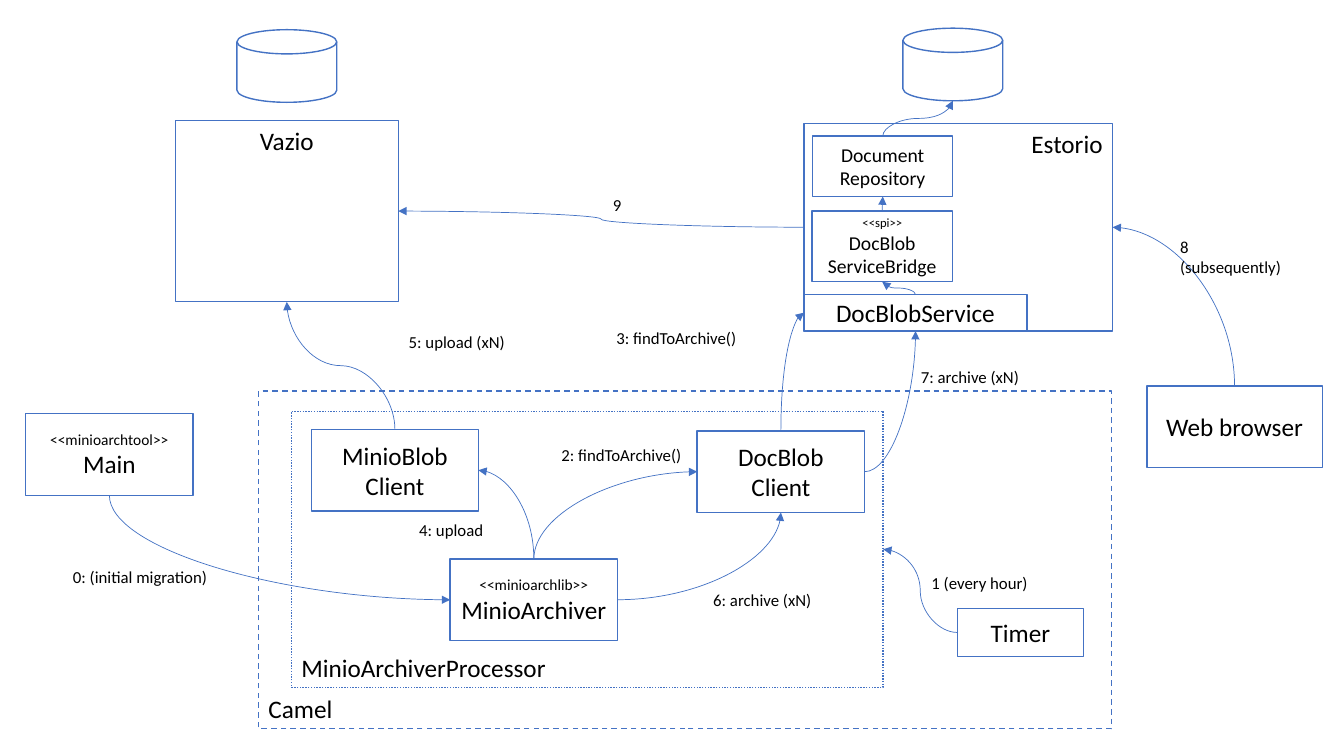
from pptx import Presentation
from pptx.dml.color import RGBColor
from pptx.enum.dml import MSO_LINE
from pptx.enum.shapes import MSO_CONNECTOR, MSO_SHAPE
from pptx.enum.text import MSO_ANCHOR, PP_ALIGN
from pptx.oxml.ns import qn
from pptx.util import Inches, Pt
from lxml.etree import SubElement

BLUE, WHITE, BLACK = "4472C4", "FFFFFF", "000000"
TOP, LEFT, BOTTOM, RIGHT = range(4)
DISK_BOTTOM = 3

presentation = Presentation()
presentation.slide_width = Inches(13.33)
presentation.slide_height = Inches(7.5)
slide = presentation.slides.add_slide(presentation.slide_layouts[6])
row = column = presentation.slide_height / 75


def color(hex_string):
    return RGBColor.from_string(hex_string)


def write(text_frame, text, size, alignment, small=None):
    for index, line in enumerate(text.split("\n")):
        paragraph = text_frame.paragraphs[0] if index == 0 else text_frame.add_paragraph()
        paragraph.text = line
        paragraph.alignment = alignment
        paragraph.font.name = "Calibri"
        paragraph.font.size = Pt(size)
        paragraph.font.color.rgb = color(BLACK)
        if line.startswith("<<"):
            paragraph.font.size = Pt(small)


middle, center = MSO_ANCHOR.MIDDLE, PP_ALIGN.CENTER
top, bottom = MSO_ANCHOR.TOP, MSO_ANCHOR.BOTTOM
rectangle, disk = MSO_SHAPE.RECTANGLE, MSO_SHAPE.FLOWCHART_MAGNETIC_DISK
large, medium = 18, 14
boxes = [
    ("camel", rectangle, 25.65, 38.8, 84.6, 33.5, "Camel", large, bottom, PP_ALIGN.LEFT),
    ("processor", rectangle, 28.9, 40.8, 58.7, 27.4, "MinioArchiverProcessor", large, bottom, PP_ALIGN.LEFT),
    ("storage", rectangle, 17.4, 11.95, 22.1, 18, "Vazio", large, top, center),
    ("estate", rectangle, 79.75, 12.25, 30.6, 20.6, "Estorio", large, top, PP_ALIGN.RIGHT),
    ("storage disk", disk, 23.5, 2.95, 9.9, 7.2, "", large, middle, center),
    ("estate disk", disk, 89.55, 2.8, 9.9, 7.2, "", large, middle, center),
    ("service", rectangle, 79.75, 29.2, 22.1, 3.65, "DocBlobService", large, middle, center),
    ("archiver", rectangle, 44.65, 55.45, 16.6, 8.1, "<<minioarchlib>>\nMinioArchiver", large, middle, center),
    ("storage client", rectangle, 30.9, 42.6, 16.55, 8.1, "MinioBlob\vClient", large, middle, center),
    ("document client", rectangle, 69.15, 42.75, 16.6, 8.1, "DocBlob\vClient", large, middle, center),
    ("timer", rectangle, 94.95, 60.35, 12.5, 4.8, "Timer", large, middle, center),
    ("browser", rectangle, 113.75, 38.3, 17.4, 8.1, "Web browser", large, middle, center),
    ("bridge", rectangle, 80.55, 20.95, 13.9, 7, "<<spi>>\nDocBlob\vServiceBridge", medium, middle, center),
    ("repository", rectangle, 80.6, 13.5, 13.9, 6, "Document\vRepository", medium, middle, center),
    ("main", rectangle, 2.55, 41.05, 16.6, 8.1, "<<minioarchtool>>\nMain", large, middle, center),
]
shapes = {}
for name, kind, left, upper, width, height, text, size, anchor, alignment in boxes:
    shape = slide.shapes.add_shape(
        kind, int(left * column), int(upper * row), int(width * column), int(height * row))
    shape.shadow.inherit = False
    shape.fill.solid()
    shape.fill.fore_color.rgb = color(WHITE)
    shape.line.color.rgb = color(BLUE)
    shape.line.width = Pt(1)
    if text:
        shape.text_frame.vertical_anchor = anchor
        write(shape.text_frame, text, size, alignment, 11 if size == large else 9)
    shapes[name] = shape
shapes["camel"].line.dash_style = MSO_LINE.DASH
shapes["processor"].line.dash_style = MSO_LINE.ROUND_DOT

arrows = [
    ("main", BOTTOM, "archiver", LEFT),
    ("timer", LEFT, "processor", RIGHT),
    ("archiver", TOP, "document client", LEFT),
    ("document client", TOP, "service", LEFT),
    ("archiver", TOP, "storage client", RIGHT),
    ("storage client", TOP, "storage", BOTTOM),
    ("archiver", RIGHT, "document client", BOTTOM),
    ("document client", RIGHT, "service", BOTTOM),
    ("browser", TOP, "estate", RIGHT),
    ("estate", LEFT, "storage", RIGHT),
    ("service", TOP, "bridge", BOTTOM),
    ("bridge", TOP, "repository", BOTTOM),
    ("repository", TOP, "estate disk", BOTTOM),
]
for source, source_side, target, target_side in arrows:
    connector = slide.shapes.add_connector(MSO_CONNECTOR.CURVE, 0, 0, 0, 0)
    connector.begin_connect(shapes[source], source_side)
    connector.end_connect(shapes[target], target_side)
    connector.line.color.rgb = color(BLUE)
    connector.line.width = Pt(0.5)
    properties = connector._element.spPr
    SubElement(properties.find(qn("a:ln")), qn("a:tailEnd"), type="triangle")
    SubElement(properties, qn("a:effectLst"))
    if source_side % 2 != target_side % 2:
        properties.find(qn("a:prstGeom")).set("prst", "curvedConnector2")
    if source_side in (TOP, BOTTOM):
        across = connector.end_x - connector.begin_x
        down = connector.end_y - connector.begin_y
        center_x = connector.begin_x + across // 2
        center_y = connector.begin_y + down // 2
        connector.begin_x, connector.end_x = center_x - down // 2, center_x + down // 2
        connector.begin_y, connector.end_y = center_y + across // 2, center_y - across // 2
        properties.find(qn("a:xfrm")).set("rot", "5400000")
    if target == "estate disk":
        next(connector._element.iter(qn("a:endCxn"))).set("idx", str(DISK_BOTTOM))

labels = [
    (6.25, 55.7, 15.5, "0: (initial migration)"),
    (91.4, 56.3, 11.6, "1 (every hour)"),
    (54.7, 43.6, 14, "2: findToArchive()"),
    (60.15, 32.05, 14, "3: findToArchive()"),
    (40.6, 51.1, 8.4, "4: upload"),
    (39.55, 32.4, 16.8, "5: upload (xN)"),
    (69.75, 58, 11.9, "6: archive (xN)"),
    (90.35, 35.9, 11.9, "7: archive (xN)"),
    (116.05, 23, 12.1, "8\n(subsequently)"),
    (59.8, 18.8, 2.9, "9"),
]
for left, upper, width, text in labels:
    height = 3 + 2 * text.count("\n")
    label = slide.shapes.add_textbox(
        int(left * column), int(upper * row), int(width * column), int(height * row))
    label.text_frame.word_wrap = True
    write(label.text_frame, text, 12, PP_ALIGN.LEFT)

presentation.save("out.pptx")
